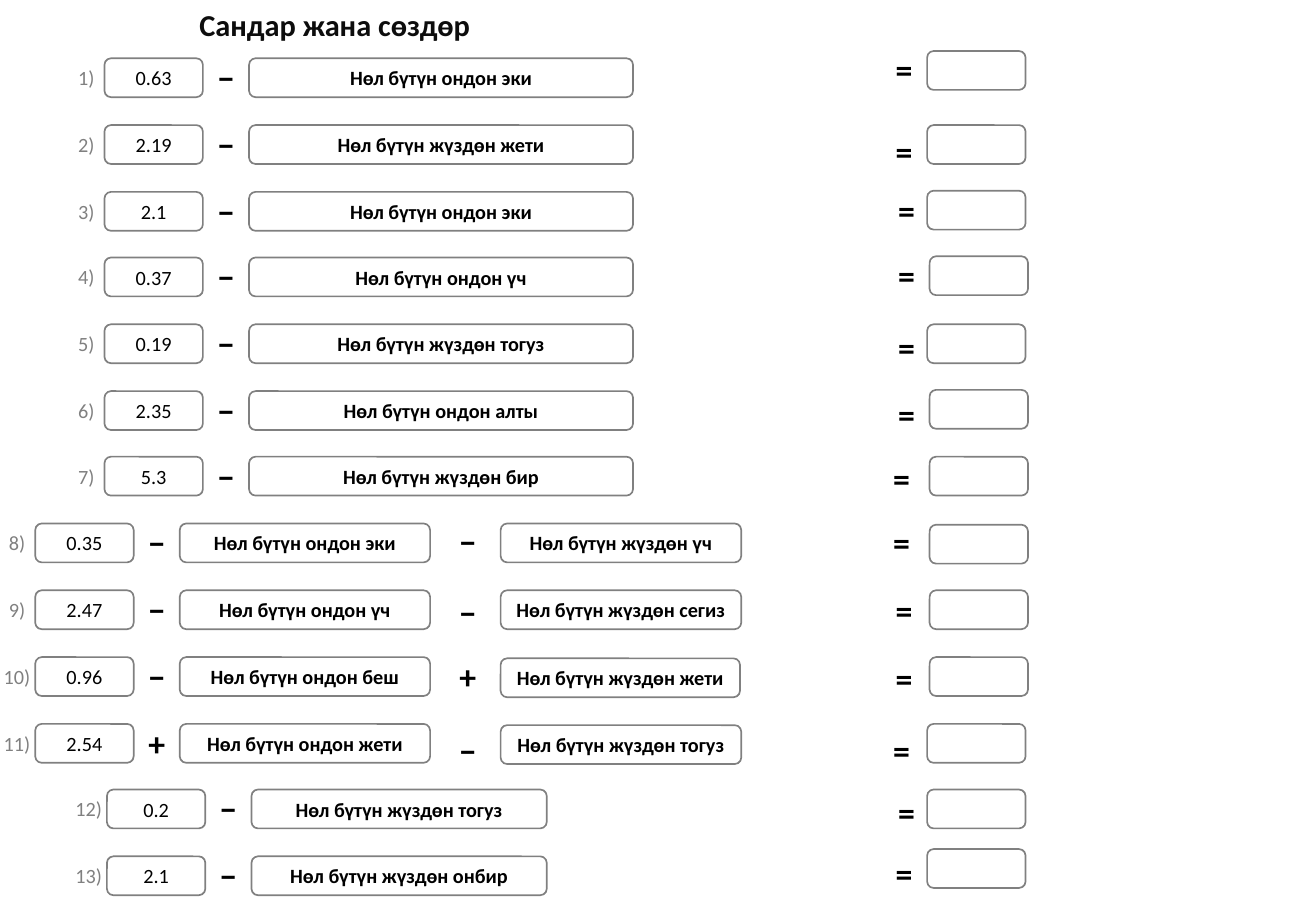
import dataclasses
import typing

import pptx
import pptx.dml.color
import pptx.enum.shapes
import pptx.enum.text
import pptx.shapes.autoshape
import pptx.slide
import pptx.util

PX = 9144
BLACK = pptx.dml.color.RGBColor(0x00, 0x00, 0x00)
TITLE_COLOR = pptx.dml.color.RGBColor(0x0D, 0x0D, 0x0D)
GRAY = pptx.dml.color.RGBColor(0x80, 0x80, 0x80)
FONT = "Calibri"

FIRST_TOP = 48
ROW_PITCH = 54.75
BOX_HEIGHT = 32
NUMBER_WIDTH = 81
SIGN_SIZE = (34, 44)
SIGN_RISE = -6
SECOND_SIGN_LEFT = 368
SECOND_WORDS_LEFT = 412


@dataclasses.dataclass(frozen=True)
class RowLayout:
    number_left: int
    words_width: int


@dataclasses.dataclass(frozen=True)
class SecondTerm:
    sign: str
    words: str
    sign_shift: int
    words_shift: int = 0
    width: int = 198


@dataclasses.dataclass(frozen=True)
class Task:
    layout: RowLayout
    number: str
    words: str
    equals_left: int
    equals_shift: int
    answer_left: int
    answer_shift: int = 0
    sign: str = "−"
    second: typing.Optional[SecondTerm] = None


WIDE = RowLayout(86, 316)
LONG = RowLayout(29, 206)
SHORT = RowLayout(88, 243)

TASKS = [
    Task(WIDE, "0.63", "Нөл бүтүн ондон эки", 727, -13, 763, -6),
    Task(WIDE, "2.19", "Нөл бүтүн жүздөн жети", 727, 0, 763),
    Task(WIDE, "2.1", "Нөл бүтүн ондон эки", 729, -7, 763, -1),
    Task(WIDE, "0.37", "Нөл бүтүн ондон үч", 729, -7, 765, -1),
    Task(WIDE, "0.19", "Нөл бүтүн жүздөн тогуз", 729, -3, 763),
    Task(WIDE, "2.35", "Нөл бүтүн ондон алты", 729, -3, 765, -1),
    Task(WIDE, "5.3", "Нөл бүтүн жүздөн бир", 725, -4, 765),
    Task(LONG, "0.35", "Нөл бүтүн ондон эки", 725, -6, 765, 1,
         second=SecondTerm("−", "Нөл бүтүн жүздөн үч", -7)),
    Task(LONG, "2.47", "Нөл бүтүн ондон үч", 727, -5, 765,
         second=SecondTerm("−", "Нөл бүтүн жүздөн сегиз", -4)),
    Task(LONG, "0.96", "Нөл бүтүн ондон беш", 727, -4, 765,
         second=SecondTerm("+", "Нөл бүтүн жүздөн жети", -6, 1, 197)),
    Task(LONG, "2.54", "Нөл бүтүн ондон жети", 725, 0, 763, sign="+",
         second=SecondTerm("−", "Нөл бүтүн жүздөн тогуз", 0, 1)),
    Task(SHORT, "0.2", "Нөл бүтүн жүздөн тогуз", 729, -3, 763),
    Task(SHORT, "2.1", "Нөл бүтүн жүздөн онбир", 727, -8, 763, -6),
]


def write_text(
    shape: pptx.shapes.autoshape.Shape,
    text: str,
    *,
    size: int = 12,
    color: pptx.dml.color.RGBColor = BLACK,
    bold: bool = False,
) -> None:
    paragraph = shape.text_frame.paragraphs[0]
    paragraph.alignment = pptx.enum.text.PP_ALIGN.CENTER
    run = paragraph.add_run()
    run.text = text
    run.font.name = FONT
    run.font.size = pptx.util.Pt(size)
    run.font.color.rgb = color
    run.font.bold = bold


def fit_to_text(shape: pptx.shapes.autoshape.Shape) -> None:
    frame = shape.text_frame
    frame.word_wrap = False
    frame.auto_size = pptx.enum.text.MSO_AUTO_SIZE.SHAPE_TO_FIT_TEXT
    frame.vertical_anchor = pptx.enum.text.MSO_ANCHOR.TOP


def add_label(
    slide: pptx.slide.Slide, left: int, top: int, width: int, height: int,
    text: str, **text_format: typing.Any,
) -> None:
    shape = slide.shapes.add_textbox(left * PX, top * PX, width * PX, height * PX)
    fit_to_text(shape)
    write_text(shape, text, **text_format)


def add_sign(slide: pptx.slide.Slide, left: int, top: int, sign: str) -> None:
    add_label(slide, left, top, *SIGN_SIZE, sign, size=20, bold=True)


def add_box(
    slide: pptx.slide.Slide, left: int, top: int, width: int,
    text: str = "", bold: bool = False,
) -> None:
    shape = slide.shapes.add_shape(
        pptx.enum.shapes.MSO_SHAPE.ROUNDED_RECTANGLE,
        left * PX, top * PX, width * PX, BOX_HEIGHT * PX,
    )
    shape.shadow.inherit = False
    shape.fill.background()
    shape.line.color.rgb = GRAY
    shape.line.width = pptx.util.Pt(1)
    if text:
        frame = shape.text_frame
        frame.margin_left = frame.margin_right = 0
        frame.margin_top = frame.margin_bottom = 0
        frame.vertical_anchor = pptx.enum.text.MSO_ANCHOR.MIDDLE
        write_text(shape, text, bold=bold)


def add_task(slide: pptx.slide.Slide, index: int, task: Task) -> None:
    top = FIRST_TOP + round(index * ROW_PITCH)
    left = task.layout.number_left
    label = f"{index + 1})"
    label_width = 34 if len(label) == 2 else 42

    add_label(slide, left - 15 - label_width // 2, top + 1, label_width, 30,
              label, color=GRAY)
    add_box(slide, left, top, NUMBER_WIDTH, task.number)
    add_sign(slide, left + 83, top + SIGN_RISE, task.sign)
    add_box(slide, left + 119, top, task.layout.words_width, task.words, bold=True)
    if task.second:
        second = task.second
        add_sign(slide, SECOND_SIGN_LEFT, top + second.sign_shift, second.sign)
        add_box(slide, SECOND_WORDS_LEFT, top + second.words_shift, second.width,
                second.words, bold=True)
    add_sign(slide, task.equals_left, top + task.equals_shift, "=")
    add_box(slide, task.answer_left, top + task.answer_shift, NUMBER_WIDTH)


def add_title(slide: pptx.slide.Slide, text: str) -> None:
    title = slide.shapes.title
    title.left, title.top = 143 * PX, 0
    title.width, title.height = 265 * PX, 40 * PX
    fit_to_text(title)
    write_text(title, text, size=18, color=TITLE_COLOR, bold=True)


def main() -> None:
    presentation = pptx.Presentation()
    presentation.slide_width = 1083 * PX
    presentation.slide_height = 750 * PX
    slide = presentation.slides.add_slide(presentation.slide_layouts[5])
    add_title(slide, "Сандар жана сөздөр")
    for index, task in enumerate(TASKS):
        add_task(slide, index, task)
    presentation.save("out.pptx")


if __name__ == "__main__":
    main()
